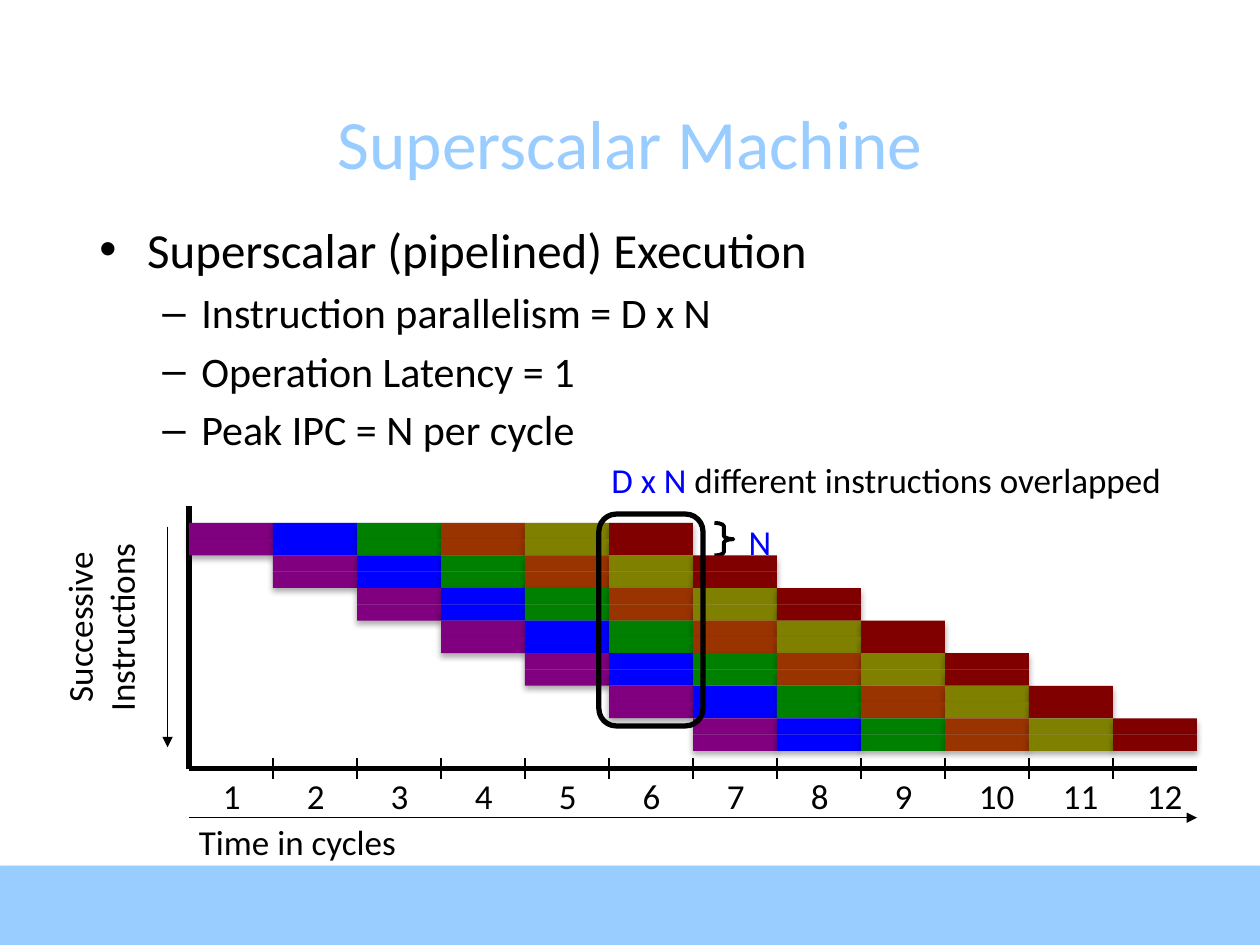
from dataclasses import dataclass

from lxml import etree
from pptx import Presentation
from pptx.dml.color import RGBColor
from pptx.enum.shapes import MSO_CONNECTOR, MSO_SHAPE
from pptx.enum.text import MSO_ANCHOR, PP_ALIGN
from pptx.oxml.ns import qn
from pptx.util import Inches, Pt

LINE = MSO_CONNECTOR.STRAIGHT
RECT, ROUND = MSO_SHAPE.RECTANGLE, MSO_SHAPE.ROUNDED_RECTANGLE
BRACE = MSO_SHAPE.RIGHT_BRACE
LEFT, CENTER = PP_ALIGN.LEFT, PP_ALIGN.CENTER
MIDDLE = MSO_ANCHOR.MIDDLE


@dataclass(frozen=True)
class Theme:
    font: str = "Calibri"
    ink: str = "000000"
    sky: str = "99CCFF"
    blue: str = "0000FF"
    stages: tuple = ("800080", "0000FF", "008000", "993300", "808000", "800000")
    title: float = 39.6
    head: float = 28
    item: float = 24
    label: float = 20
    thin: float = 0.75
    mid: float = 2.25
    thick: float = 3


T = Theme()
CYCLES, WIDTH, STEPS = 12, 2, 7  # N = 2 instructions start in each cycle


def rgb(code):
    return RGBColor.from_string(code)


def style(font, size, color=T.ink):
    font.name, font.size, font.color.rgb = T.font, Pt(size), rgb(color)


def add_shape(slide, kind, box, fill=None, line=None, shadow=None):
    """Add a shape; shadow is (opacity %, blur pt, distance pt)."""
    shape = slide.shapes.add_shape(kind, *map(Inches, box))
    shape.shadow.inherit = False
    if fill:
        shape.fill.solid()
        shape.fill.fore_color.rgb = rgb(fill)
    else:
        shape.fill.background()
    if line:
        shape.line.color.rgb = rgb(T.ink)
        shape.line.width = Pt(line)
    else:
        shape.line.fill.background()
    if shadow:
        alpha, blur, dist = shadow
        effects = shape._element.spPr.find(qn("a:effectLst"))
        cast = etree.SubElement(effects, qn("a:outerShdw"), blurRad=str(Pt(blur)),
                                dist=str(Pt(dist)), dir="5400000", rotWithShape="0")
        tint = etree.SubElement(cast, qn("a:srgbClr"), val=T.ink)
        etree.SubElement(tint, qn("a:alpha"), val=str(alpha * 1000))
    return shape


def add_line(slide, start, end, width, arrow=False):
    line = slide.shapes.add_connector(LINE, *map(Inches, start + end))
    line.line.color.rgb = rgb(T.ink)
    line.line.width = Pt(width)
    props = line._element.spPr
    if arrow:
        etree.SubElement(props.find(qn("a:ln")), qn("a:tailEnd"), type="triangle")
    etree.SubElement(props, qn("a:effectLst"))


def add_label(slide, box, lines, color=T.ink, align=LEFT):
    frame = slide.shapes.add_textbox(*map(Inches, box)).text_frame
    frame.word_wrap = False
    frame.text = "\n".join(lines)
    for par in frame.paragraphs:
        par.alignment = align
        style(par.font, T.label, color)
    return frame


def add_title(slide, box, text):
    title = slide.shapes.title
    title.left, title.top, title.width, title.height = map(Inches, box)
    frame = title.text_frame
    frame.text = text
    frame.vertical_anchor = MIDDLE
    par = frame.paragraphs[0]
    par.alignment = CENTER
    style(par.font, T.title, T.sky)


def add_list(slide, box, head, items):
    frame = slide.shapes.add_textbox(*map(Inches, box)).text_frame
    frame.word_wrap = True
    frame.text = "\n".join([head, *items])
    for i, par in enumerate(frame.paragraphs):
        mark, left, hang, size = (("–", 0.81, 0.31, T.item) if i
                                  else ("•", 0.38, 0.38, T.head))
        props = par._p.get_or_add_pPr()
        props.set("marL", str(Inches(left)))
        props.set("indent", str(-Inches(hang)))
        etree.SubElement(props, qn("a:buFont"), typeface="Arial")
        etree.SubElement(props, qn("a:buChar"), char=mark)
        if i:
            par.level = 1
            par.space_before = Pt(0.2 * size)
        style(par.font, size)


def add_axes(slide, box):
    """Axes with ticks, cycle numbers and the two direction arrows."""
    x, y, w, h = box
    base, step = y + h, w / CYCLES
    add_line(slide, (x + w, base), (x, base), T.thick)
    add_line(slide, (x, y), (x, base), T.thick)
    for i in range(CYCLES):
        left = x + i * step
        if i:
            add_line(slide, (left, base - 0.08), (left, base + 0.08), T.thin)
        wide = 0.34 if i < 9 else 0.48
        add_label(slide, (left + 0.17, base, wide, 0.44), [str(i + 1)])

    # Time runs right, instructions run down
    add_line(slide, (x, base + 0.39), (x + w, base + 0.39), T.thin, True)
    add_label(slide, (x - 0.02, base + 0.36, 1.81, 0.44), ["Time in cycles"])
    add_line(slide, (x - 0.17, y + 0.16), (x - 0.17, base - 0.17), T.thin, True)
    side = add_label(slide, (x - 1.09, y + 0.24, 0.88, 1.44),
                     ["Successive", "Instructions"], align=CENTER)
    side._txBody.bodyPr.set("vert", "vert270")


def add_pipe(slide, box):
    """Staircase of stages, N rows to a step, with its callouts."""
    x, y, w, h = box
    step, row = w / CYCLES, h / (WIDTH * STEPS)

    # Brace marking the N rows of the first step
    add_label(slide, (x + 4.32, y - 0.07, 0.42, 0.34), ["N"], T.blue, CENTER)
    brace = add_shape(slide, BRACE, (x + 4.17, y, 0.15, WIDTH * row), line=T.mid)
    brace.adjustments[0] = 0.18

    for i in range(WIDTH * STEPS):
        for j, color in enumerate(T.stages):
            cell = (x + (i // WIDTH + j) * step, y + i * row, step, row)
            add_shape(slide, RECT, cell, color, shadow=(32, 3.5, 2.2))

    # Ring around the cycle in which every stage is busy
    depth = len(T.stages)
    ring = (x + (depth - 1) * step - 0.08, y - 0.07,
            step + 0.16, depth * WIDTH * row + 0.13)
    add_shape(slide, ROUND, ring, line=T.thick)
    note = add_label(slide, (ring[0], y - 0.56, 4.69, 0.44), [""])
    par = note.paragraphs[0]
    for text, color in (("D x N", T.blue),
                        (" different instructions overlapped", T.ink)):
        run = par.add_run()
        run.text = text
        style(run.font, T.label, color)


def main():
    deck = Presentation()
    deck.slide_width, deck.slide_height = Inches(10), Inches(7.5)
    slide = deck.slides.add_slide(deck.slide_layouts[5])

    # Footer band
    add_shape(slide, RECT, (0, 6.87, 10, 0.63), T.sky, shadow=(35, 3.1, 1.8))
    add_title(slide, (0.69, 0.74, 8.62, 0.77), "Superscalar Machine")
    add_list(slide, (0.69, 1.69, 8.62, 5.07), "Superscalar (pipelined) Execution",
             ["Instruction parallelism = D x N", "Operation Latency = 1",
              "Peak IPC = N per cycle"])
    add_axes(slide, (1.5, 4.02, 8, 2.08))
    add_pipe(slide, (1.5, 4.15, 8, 1.81))
    deck.save("out.pptx")


if __name__ == "__main__":
    main()
